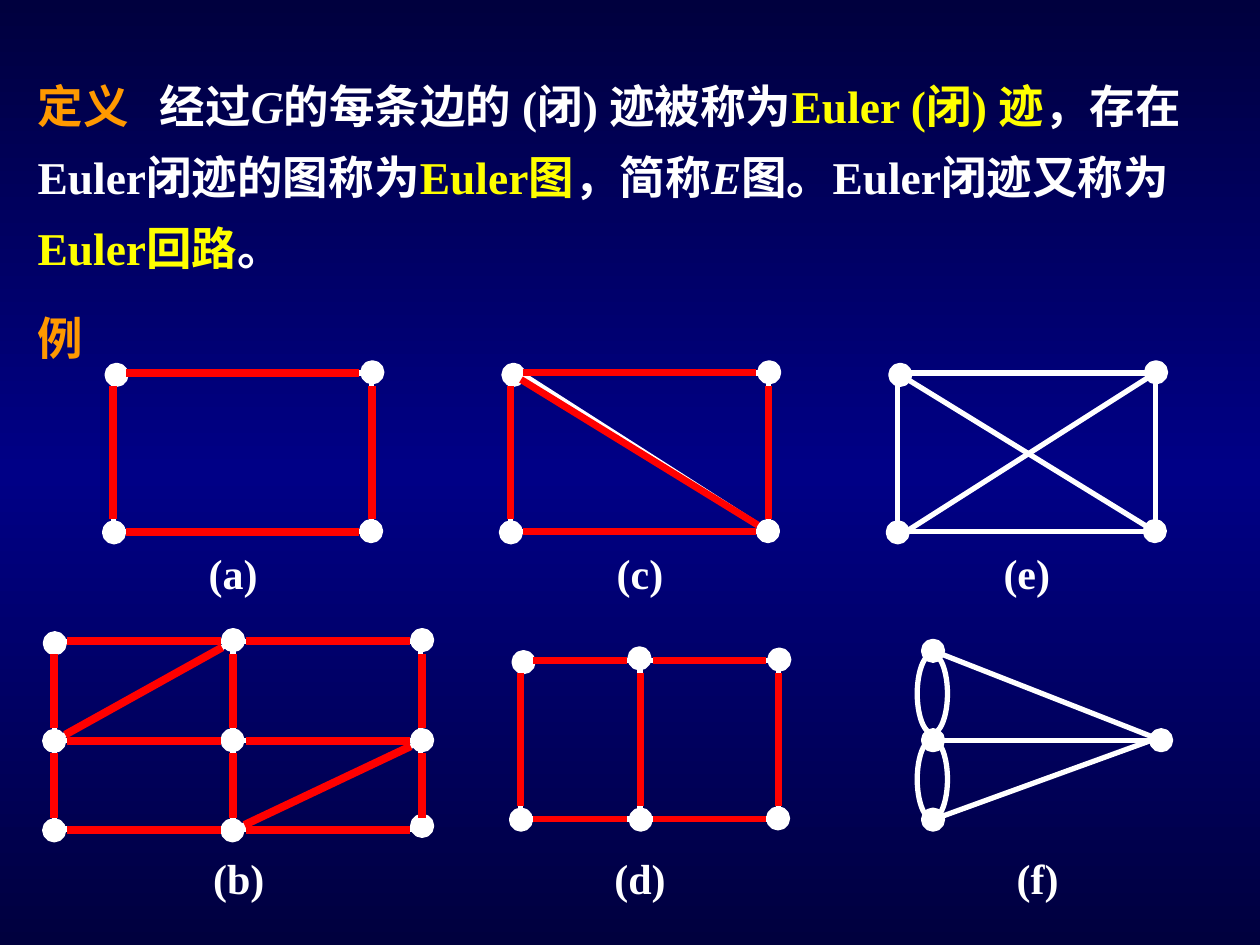
from copy import deepcopy
from dataclasses import dataclass
from math import hypot
from typing import NamedTuple

from pptx import Presentation
from pptx.dml.color import RGBColor
from pptx.enum.shapes import MSO_CONNECTOR as Connector, MSO_SHAPE as Shape
from pptx.enum.text import MSO_AUTO_SIZE as AutoSize, PP_ALIGN as Align
from pptx.oxml.ns import qn
from pptx.oxml.xmlchemy import OxmlElement
from pptx.util import Inches, Pt

WHITE = RGBColor(0xFF, 0xFF, 0xFF)
RED = RGBColor(0xFF, 0x00, 0x00)
ORANGE = RGBColor(0xFF, 0x99, 0x00)
YELLOW = RGBColor(0xFF, 0xFF, 0x00)
NAVY = RGBColor(0x00, 0x00, 0x3E)
BLUE = RGBColor(0x00, 0x00, 0x86)

FONT = "Times New Roman"
COLUMNS, ROWS = 100, 75
CELL = Inches(10) // COLUMNS
DOT, GAP = 1.5, 1.0
EDGE_WIDTH = 3
FRAME_WIDTH, FRAME_HEIGHT = 20.5, 12.6
LABEL_HEIGHT = 5
UPPER_LABEL, LOWER_LABEL = 43, 67.2


class Point(NamedTuple):
    column: float
    row: float


class Box(NamedTuple):
    left: float
    top: float
    width: float
    height: float


class Run(NamedTuple):
    text: str
    color: RGBColor = WHITE
    italic: bool = False


Edge = tuple[Point, Point]


@dataclass(frozen=True)
class Graph:
    label: str
    label_box: Box
    dots: tuple[Point, ...]
    frames: tuple[Box, ...] = ()
    loops: tuple[Box, ...] = ()
    edges: tuple[Edge, ...] = ()
    trail: tuple[Edge, ...] = ()
    trail_width: float = 4


def path_edges(*points: Point) -> tuple[Edge, ...]:
    """Join consecutive points into edges."""
    return tuple(zip(points, points[1:]))


def label_at(center: float, top: float, width: float = 11) -> Box:
    """Return a label box centred on a column."""
    return Box(center - width / 2, top, width, LABEL_HEIGHT)


def corners(frame: Box) -> tuple[Point, ...]:
    """List the corners of a frame clockwise from top left."""
    left, top, width, height = frame
    right, bottom = left + width, top + height
    return Point(left, top), Point(right, top), Point(right, bottom), Point(left, bottom)


def corner_dots(frame: Box) -> tuple[Point, ...]:
    """Place the four dots near the corners of a frame."""
    shifts = ((0.25, 0.15), (0.05, -0.05), (-0.05, -0.05), (0.05, 0.05))
    return tuple(Point(c + x, r + y) for (c, r), (x, y) in zip(corners(frame), shifts))


def rectangle_graph(label: str, left: float, top: float, label_box: Box,
                    extra_dots: tuple[Point, ...] = (), **parts) -> Graph:
    """Describe a graph built on the common rectangle."""
    frame = Box(left, top, FRAME_WIDTH, FRAME_HEIGHT)
    return Graph(label, label_box, corner_dots(frame) + extra_dots, (frame,), **parts)


def build_graphs() -> tuple[Graph, ...]:
    """Describe the six example graphs."""
    a1, a2, a3, a4 = corners(Box(9, 29.6, FRAME_WIDTH, FRAME_HEIGHT))
    c1, c2, c3, c4 = corners(Box(40.5, 29.6, FRAME_WIDTH, FRAME_HEIGHT))
    e1, e2, e3, e4 = corners(Box(71.2, 29.6, FRAME_WIDTH, FRAME_HEIGHT))
    d1, d2, d3, d4 = corners(Box(41.3, 52.4, FRAME_WIDTH, FRAME_HEIGHT))
    d_top, d_bottom = Point(50.8, d1.row), Point(50.8, d3.row)
    b1, b2, b3, b4, b5, b6, b7, b8, b9 = (
        Point(column, row) for row in (50.9, 58.8, 65.9) for column in (4.3, 18.5, 33.5))
    b_shifts = ((0.05, 0.15), (0, -0.1), (0, -0.1), (0, 0), (-0.05, -0.05),
                (0, -0.05), (0, 0), (-0.05, 0), (0, -0.35))
    f1, f2, f3 = (Point(74.05, row) for row in (51.65, 58.75, 65.05))
    f4 = Point(92.15, 58.75)
    return (
        rectangle_graph("(a)", *a1, label_at(18.5, UPPER_LABEL),
                        trail=path_edges(a1, a2, a3, a4, a1), trail_width=4.5),
        rectangle_graph("(c)", *c1, label_at(50.8, UPPER_LABEL),
                        edges=((Point(41.3, c1.row), c3),),
                        trail=path_edges(c1, c2, c3, c4, c1, c3)),
        rectangle_graph("(e)", *e1, label_at(81.5, UPPER_LABEL),
                        edges=((e1, e3), (e2, Point(71.9, e4.row)))),
        Graph("(f)", label_at(82.35, LOWER_LABEL, 8.7), (f1, f2, f3, f4),
              loops=tuple(Box(72.8, top, 2.4, 6.3) for top in (51.9, 58.7)),
              edges=((f1, f4), (f2, f4), (Point(91.4, f4.row), f3))),
        Graph("(b)", label_at(18.95, LOWER_LABEL, 8.7),
              tuple(Point(point.column + x, point.row + y) for point, (x, y)
                    in zip((b1, b2, b3, b4, b5, b6, b7, b8, b9), b_shifts)),
              frames=(Box(*b1, 29.1, 14.9),),
              edges=((b4, b6), (b2, b8), (b2, b4), (b6, b8)),
              trail=path_edges(b9, b8, b6, b5, b4, b2, b5, b8, b7, b4, b1, b2, b3, b6, b9),
              trail_width=4.5),
        rectangle_graph("(d)", *d1, label_at(50.8, LOWER_LABEL),
                        (Point(50.75, 52.25), Point(50.85, 65.05)),
                        edges=((d_top, d_bottom),),
                        trail=path_edges(d_top, d2, d3, d_bottom, d4, d1, d_top, d_bottom)),
    )


def cells(*values: float) -> list[int]:
    """Convert grid cells to slide lengths."""
    return [round(value * CELL) for value in values]


def write_text(slide, box: Box, runs: tuple[Run, ...], *, size: float = 26,
               align: Align = Align.LEFT, spacing: float = 1.0) -> None:
    """Write bold runs as one paragraph in a text box."""
    frame = slide.shapes.add_textbox(*cells(*box)).text_frame
    frame.word_wrap = True
    frame.auto_size = AutoSize.SHAPE_TO_FIT_TEXT
    paragraph = frame.paragraphs[0]
    paragraph.alignment = align
    paragraph.line_spacing = spacing
    for text, color, italic in runs:
        run = paragraph.add_run()
        run.text = text
        run.font.name, run.font.size = FONT, Pt(size)
        run.font.bold, run.font.italic = True, italic
        run.font.color.rgb = color


def draw_outline(slide, kind: Shape, box: Box, filled: bool = False) -> None:
    """Draw a white preset shape, hollow or filled."""
    shape = slide.shapes.add_shape(kind, *cells(*box))
    shape.shadow.inherit = False
    if filled:
        shape.fill.solid()
        shape.fill.fore_color.rgb = WHITE
    else:
        shape.fill.background()
    shape.line.color.rgb = WHITE
    shape.line.width = Pt(EDGE_WIDTH)


def draw_edge(slide, edge: Edge, color: RGBColor = WHITE,
              width: float = EDGE_WIDTH, gap: float = 0) -> None:
    """Draw a straight edge, shortened by a gap at both ends."""
    (x1, y1), (x2, y2) = edge
    share = gap / hypot(x2 - x1, y2 - y1)
    dx, dy = (x2 - x1) * share, (y2 - y1) * share
    line = slide.shapes.add_connector(
        Connector.STRAIGHT, *cells(x1 + dx, y1 + dy, x2 - dx, y2 - dy))
    line.line.color.rgb = color
    line.line.width = Pt(width)
    line._element.spPr.append(OxmlElement("a:effectLst"))


def draw_graph(slide, graph: Graph) -> None:
    """Draw the frame, edges, dots, label and trail of a graph."""
    for frame in graph.frames:
        draw_outline(slide, Shape.RECTANGLE, frame)
    for edge in graph.edges:
        draw_edge(slide, edge)
    for loop in graph.loops:
        draw_outline(slide, Shape.OVAL, loop)
    for column, row in graph.dots:
        draw_outline(slide, Shape.OVAL, Box(column - DOT / 2, row - DOT / 2, DOT, DOT), True)
    write_text(slide, graph.label_box, (Run(graph.label),), size=24, align=Align.CENTER)
    for edge in graph.trail:
        draw_edge(slide, edge, RED, graph.trail_width, GAP)


def paint_background(slide) -> None:
    """Fill the slide with a vertical three-stop gradient."""
    fill = slide.background.fill
    fill.gradient()
    fill.gradient_angle = 90
    stops = slide.element.find(".//" + qn("a:gsLst"))
    stops.insert(1, deepcopy(stops[0]))
    for stop, position, color in zip(fill.gradient_stops, (0, 0.5, 1), (NAVY, BLUE, NAVY)):
        stop.position = position
        stop.color.rgb = color


def main() -> None:
    """Build and save the slide."""
    presentation = Presentation()
    presentation.slide_width, presentation.slide_height = cells(COLUMNS, ROWS)
    slide = presentation.slides.add_slide(presentation.slide_layouts[6])
    paint_background(slide)
    definition = (
        Run("定义   ", ORANGE), Run("经过"), Run("G", italic=True),
        Run("的每条边的 (闭) 迹被称为"), Run("Euler (闭) 迹", YELLOW),
        Run("，存在Euler闭迹的图称为"), Run("Euler图", YELLOW), Run("，简称"),
        Run("E", italic=True), Run("图。Euler闭迹又称为"),
        Run("Euler回路", YELLOW), Run("。"))
    write_text(slide, Box(2, 4.4, 96.1, 17.9), definition, spacing=1.3)
    write_text(slide, Box(2, 24.1, 7.9, 5.4), (Run("例", ORANGE),))
    for graph in build_graphs():
        draw_graph(slide, graph)
    presentation.save("out.pptx")


if __name__ == "__main__":
    main()
